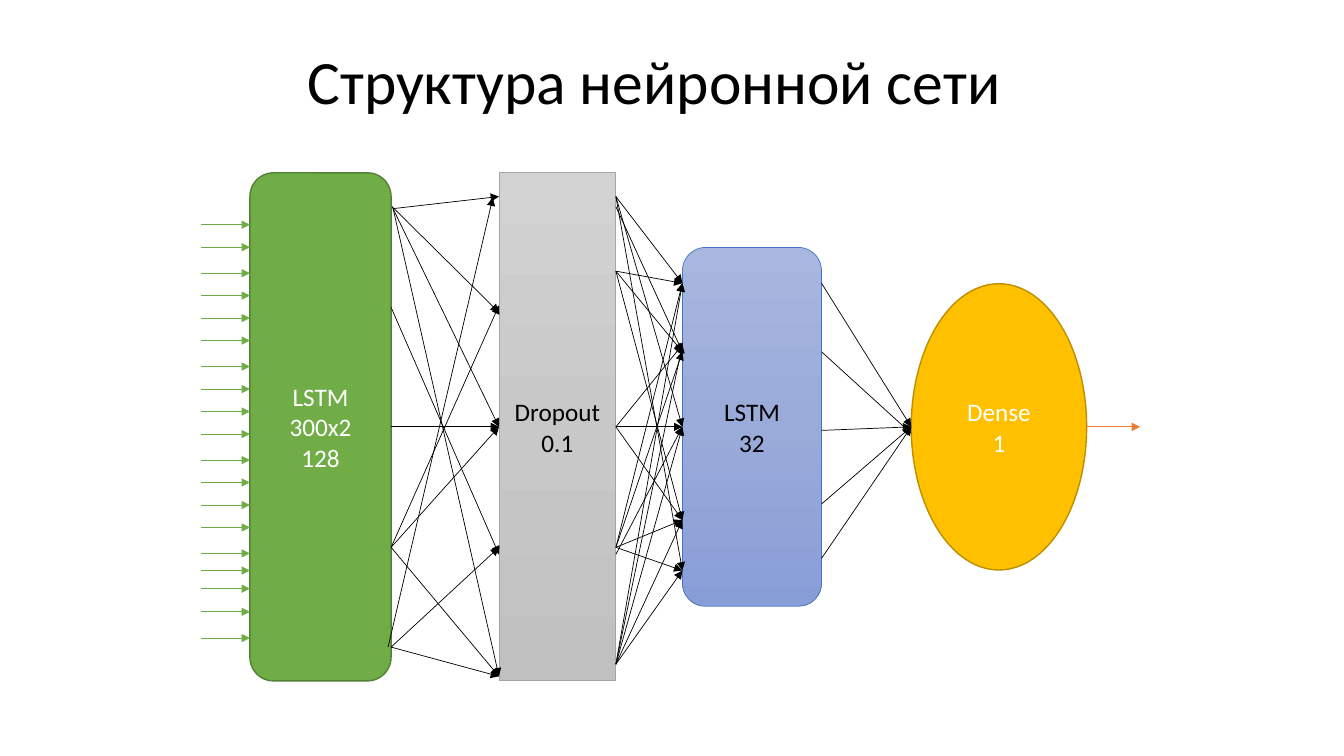
from copy import deepcopy
from dataclasses import dataclass

from pptx import Presentation, util as u
from pptx.dml.color import RGBColor
from pptx.enum import shapes as sh, text as tx
from pptx.oxml import parse_xml
from pptx.oxml.ns import nsdecls, qn

CELL = u.Inches(0.1)  # one grid column or row
COLS, ROWS = 133.33, 75
MID = 42.35  # row of the shared axis


@dataclass(frozen=True)
class Layer:
    label: str
    left: float
    width: float
    height: float
    form: sh.MSO_SHAPE
    fills: tuple[str, ...]
    edge: str
    ink: str
    weight: float

    @property
    def right(self) -> float:
        return self.left + self.width


@dataclass(frozen=True)
class Fan:
    """Arrows from one port to the rows in ends."""
    col: float
    row: float
    to: float
    ends: tuple[float, ...]
    hue: str = "000000"


FORM = sh.MSO_SHAPE
FIRST = Layer("LSTM\n300x2\n128", 24.8, 14, 50.4, FORM.ROUNDED_RECTANGLE,
              ("70AD47",), "538035", "FFFFFF", 1)
DROP = Layer("Dropout 0.1", 49.5, 11.6, 50.4, FORM.RECTANGLE,
             ("D2D2D2", "C8C8C8", "C0C0C0"), "A5A5A5", "000000", 0.5)
NEXT = Layer("LSTM\n32", 67.7, 13.8, 35.6, FORM.ROUNDED_RECTANGLE,
             ("A8B7DF", "9AABD9", "889ED7"), "4472C4", "000000", 0.5)
DENSE = Layer("Dense\n1", 90.4, 17.4, 28.4, FORM.OVAL,
              ("FFC000",), "BD8E00", "FFFFFF", 1)
LAYERS = (FIRST, DROP, NEXT, DENSE)

# Inputs come in groups of four; the last five are spaced by hand.
STEPS = [17.83 + 9.27 * group + 2.23 * k for group in range(4) for k in range(4)]
INPUTS = STEPS[2:] + [54.9, 56.6, 58.4, 60.7, 63.3]

FANS = [
    Fan(39, 20.7, DROP.left, (67.1, 19.5)),
    Fan(38.9, 20.5, DROP.left, (31, MID)),
    Fan(FIRST.right, 30.5, DROP.left, (55,)),
    Fan(FIRST.right, MID, DROP.left, (MID,)),
    Fan(FIRST.right, 54.3, DROP.left, (30.3, MID, 67.1)),
    Fan(FIRST.right, 64.2, DROP.left, (54.3, 67.1)),
    Fan(38.5, 64.2, 48.9, (19.6,)),
    Fan(DROP.right, 19.5, NEXT.left, (28.1, MID, 56.6)),
    Fan(DROP.right, 20.5, NEXT.left, (34.9,)),
    Fan(DROP.right, 26.9, NEXT.left, (28.1, 34.9, 51.6)),
    Fan(DROP.right, MID, NEXT.left, (34.2, MID, 51.6)),
    Fan(DROP.right, 54.3, NEXT.left, (28.1, 34.9, 51.6, 56.6)),
    Fan(DROP.right, 55, NEXT.left, (MID,)),
    Fan(DROP.right, 65.9, NEXT.left, (28.1, 34.2, MID, 51.6, 56.6)),
    *(Fan(NEXT.right, row, DENSE.left, (MID,)) for row in (28.1, 42.7, 50, 55.4)),
    Fan(NEXT.right, 34.9, DENSE.left, (43,)),
    Fan(DENSE.right, MID, 113.1, (MID,), "ED7D31"),
    *(Fan(19.9, row, FIRST.left, (row,), "70AD47") for row in INPUTS),
]


def grid(n: float) -> int:
    return round(n * CELL)


def tint(code: str) -> RGBColor:
    return RGBColor.from_string(code)


def write(frame, words: str, *, size: float, hue: str, align, lead=None) -> None:
    frame.text = words
    frame.word_wrap = True
    frame.auto_size = tx.MSO_AUTO_SIZE.NONE
    frame.vertical_anchor = tx.MSO_ANCHOR.MIDDLE
    for para in frame.paragraphs:
        para.alignment = align
        para.line_spacing = lead
        for run in para.runs:
            run.font.name = "Calibri"
            run.font.size = u.Pt(size)
            run.font.color.rgb = tint(hue)


def paint(shape, hues: tuple[str, ...]) -> None:
    """Fill solid for one colour, or shade downwards through three."""
    if len(hues) == 1:
        shape.fill.solid()
        shape.fill.fore_color.rgb = tint(hues[0])
        return
    shape.fill.gradient()
    shape.fill.gradient_angle = 270
    stops = shape.element.spPr.find(".//" + qn("a:gsLst"))
    stops.insert(1, deepcopy(stops[0]))
    for i, (stop, hue) in enumerate(zip(shape.fill.gradient_stops, hues)):
        stop.position = i / 2
        stop.color.rgb = tint(hue)


def block(slide, layer: Layer):
    shape = slide.shapes.add_shape(
        layer.form, grid(layer.left), grid(MID - layer.height / 2),
        grid(layer.width), grid(layer.height))
    shape.shadow.inherit = False
    paint(shape, layer.fills)
    shape.line.color.rgb = tint(layer.edge)
    shape.line.width = u.Pt(layer.weight)
    write(shape.text_frame, layer.label, size=18, hue=layer.ink,
          align=tx.PP_ALIGN.CENTER)
    return shape


def wire(slide, fan: Fan, end: float, outs: dict, ins: dict) -> None:
    """Draw one arrow, joined wherever it meets the middle of a side."""
    line = slide.shapes.add_connector(
        sh.MSO_CONNECTOR.STRAIGHT, grid(fan.col), grid(fan.row),
        grid(fan.to), grid(end))
    if (fan.col, fan.row) in outs:
        line.begin_connect(outs[fan.col, fan.row], 3)
    if (fan.to, end) in ins:
        line.end_connect(ins[fan.to, end], 1)
    line.line.color.rgb = tint(fan.hue)
    line.line.width = u.Pt(0.5)
    props = line.element.spPr
    props.find(qn("a:ln")).append(
        parse_xml(f'<a:tailEnd {nsdecls("a")} type="triangle"/>'))
    props.append(parse_xml(f'<a:effectLst {nsdecls("a")}/>'))


def main() -> None:
    deck = Presentation()
    deck.slide_width, deck.slide_height = grid(COLS), grid(ROWS)
    slide = deck.slides.add_slide(deck.slide_layouts.get_by_name("Title Only"))
    title = slide.shapes.title
    title.left, title.top = grid(29.5), grid(1.1)
    title.width, title.height = grid(79.9), grid(14.5)
    write(title.text_frame, "Структура нейронной сети", size=44, hue="000000",
          align=tx.PP_ALIGN.LEFT, lead=0.9)

    outs, ins = {}, {}
    for layer in LAYERS:
        shape = block(slide, layer)
        if layer.form != FORM.OVAL:
            outs[layer.right, MID] = shape
            ins[layer.left, MID] = shape
    for fan in FANS:
        for end in fan.ends:
            wire(slide, fan, end, outs, ins)
    deck.save("out.pptx")


if __name__ == "__main__":
    main()
